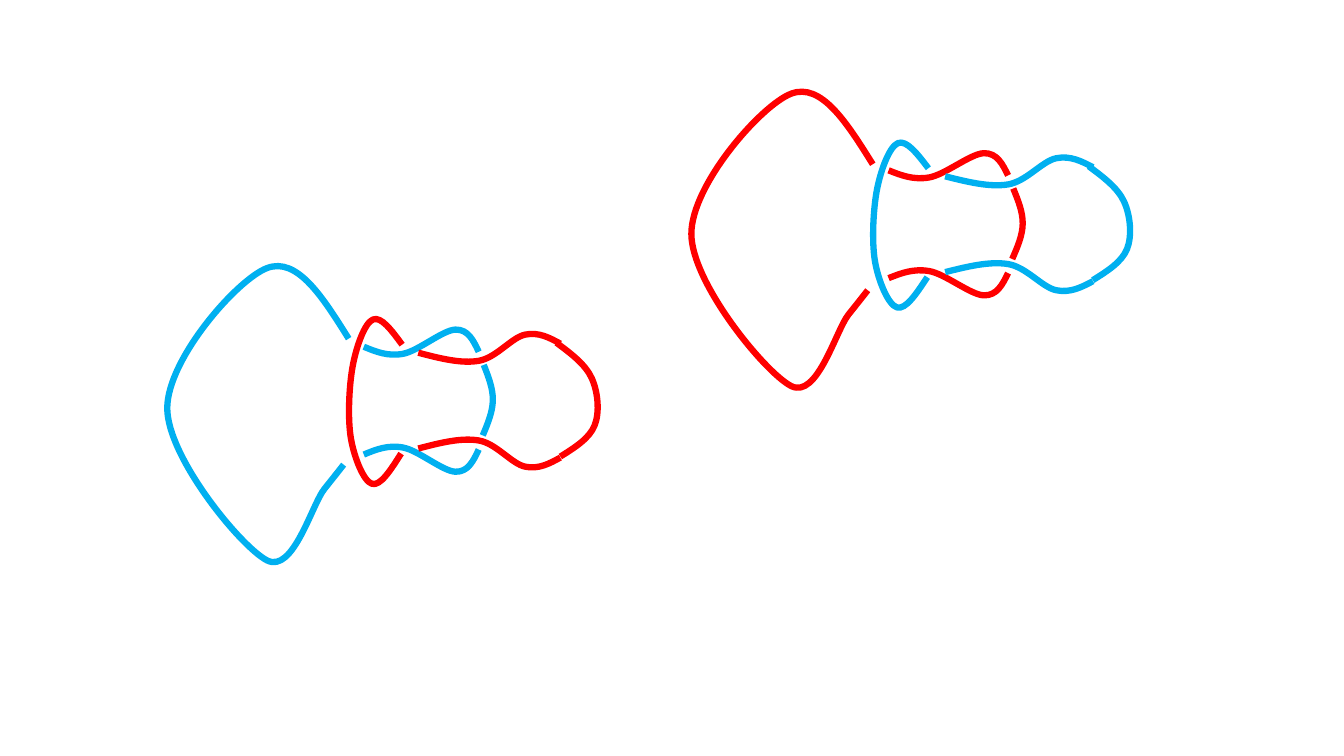
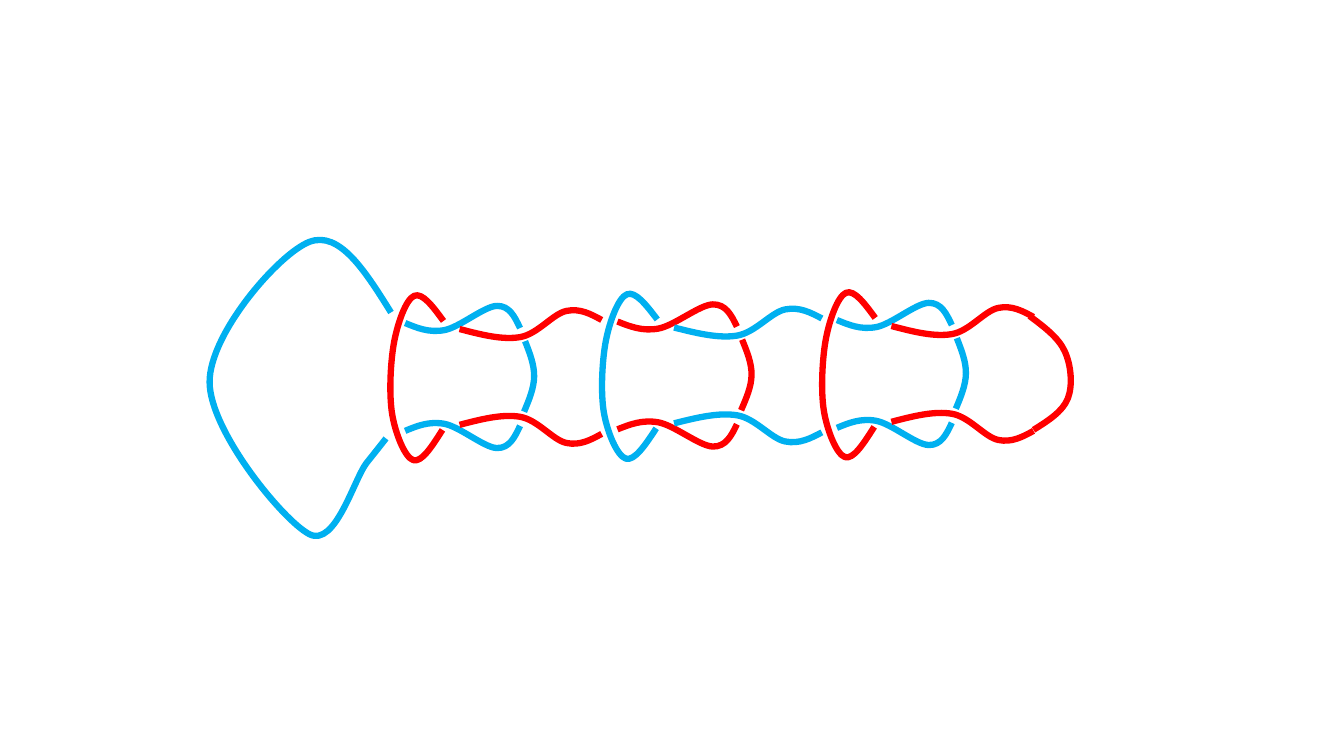
from dataclasses import dataclass

from lxml import etree
from pptx import Presentation
from pptx import util as u
from pptx.dml import color
from pptx.oxml import ns


@dataclass(frozen=True)
class Theme:
    blue: color.RGBColor = color.RGBColor(0x00, 0xB0, 0xF0)
    red: color.RGBColor = color.RGBColor(0xFF, 0x00, 0x00)
    strand_width: u.Pt = u.Pt(4.5)
    unit: float = u.Cm(2.54) / 100  # drawing grid: 100 units to 2.54 cm


THEME = Theme()


def mirrored(knots, height=161):
    """Flip an upper strand to the lower half of a link."""
    return [(x, height - y) for x, y in knots]


# Knots that each strand passes through, on the drawing grid
LOOP = [(53, 25), (24, 0), (4, 46), (2, 117), (23, 163), (52, 133)]
WAVE = [(15, 27), (54, 34), (106, 10), (129, 32)]
NECK = [(69, 33), (129, 41), (175, 15), (210, 24)]
BRIDGE = [(134, 45), (143, 80), (133, 115)]
TAIL = [(180, 72), (99, 2), (0, 141), (99, 292), (156, 221), (175, 197)]
CAP = [(0, 0), (35, 35), (38, 82), (4, 113)]

# A link: strands of the hooking colour and strands of the held colour
HOOK_STRANDS = [LOOP, NECK, mirrored(NECK)]
HELD_STRANDS = [WAVE, mirrored(WAVE), BRIDGE]
LINK_ORDER = [LOOP, WAVE, mirrored(WAVE), NECK, mirrored(NECK), BRIDGE]

# How links join: each starts where the neck before it ends
LINK_LENGTH = 210
LINK_RISE = 1.5
CAP_X, CAP_Y = 206, 23
NORMAL, WIDE = 1, 1.04


def midpoint(a, b):
    return (a[0] + b[0]) / 2, (a[1] + b[1]) / 2


def smooth_curve(knots):
    """Return (handle, handle, knot) for each cubic segment through the knots.

    At an inner knot the handles lie a sixth of the way along the line that
    joins its neighbours. At an end the handle is halfway to the next handle.
    """
    arriving, leaving = [], []
    for before, knot, after in zip(knots, knots[1:], knots[2:]):
        dx, dy = (after[0] - before[0]) / 6, (after[1] - before[1]) / 6
        arriving.append((knot[0] - dx, knot[1] - dy))
        leaving.append((knot[0] + dx, knot[1] + dy))
    leaving.insert(0, midpoint(knots[0], arriving[0]))
    arriving.append(midpoint(knots[-1], leaving[-1]))
    return list(zip(leaving, arriving, knots[1:]))


class KnotDeck:
    """Holds the theme and the current slide, and draws the knot parts."""

    def __init__(self, theme):
        self.theme = theme
        self.deck = Presentation()
        self.deck.slide_width = u.Cm(33.87)
        self.deck.slide_height = u.Cm(19.05)
        self.slide = None

    def new_slide(self):
        self.slide = self.deck.slides.add_slide(self.deck.slide_layouts[6])

    def strand(self, knots, origin, ink, stretch=NORMAL):
        """Draw one open curved strand."""
        left, top = origin
        placed = [(round((left + x * stretch) * self.theme.unit),
                   round((top + y) * self.theme.unit)) for x, y in knots]
        outline = self.slide.shapes.build_freeform(*placed[0])
        outline.add_line_segments(placed[1:], close=False)
        strand = outline.convert_to_shape()
        self.bend(strand, smooth_curve(placed))
        strand.shadow.inherit = False
        strand.fill.background()
        strand.line.color.rgb = ink
        strand.line.width = self.theme.strand_width
        return strand

    @staticmethod
    def bend(strand, curve):
        """Turn the straight segments of a strand into cubic ones."""
        straights = list(strand._element.iter(ns.qn("a:lnTo")))
        for straight, points in zip(straights, curve):
            cubic = etree.Element(ns.qn("a:cubicBezTo"))
            for x, y in points:
                etree.SubElement(cubic, ns.qn("a:pt"),
                                 x=str(round(x - strand.left)),
                                 y=str(round(y - strand.top)))
            straight.getparent().replace(straight, cubic)

    def link(self, origin, hook, held, stretch):
        return [self.strand(knots, origin,
                            hook if knots in HOOK_STRANDS else held, stretch)
                for knots in LINK_ORDER]

    def chain(self, tail_origin, link_origin, hook, held, stretches):
        """Draw links that swap colours in turn, between a tail and a cap."""
        tail_ink = held
        x, y = link_origin
        strands = []
        for stretch in stretches:
            strands += self.link((x, y), hook, held, stretch)
            cap_origin, cap_ink = (x + CAP_X * stretch, y + CAP_Y), hook
            x, y = x + LINK_LENGTH * stretch, y - LINK_RISE
            hook, held = held, hook
        strands.append(self.strand(TAIL, tail_origin, tail_ink))
        strands.append(self.strand(CAP, cap_origin, cap_ink))
        self.slide.shapes.add_group_shape(strands)

    def save(self):
        self.deck.save("out.pptx")


def main():
    knots = KnotDeck(THEME)
    blue, red = THEME.blue, THEME.red

    # Slide 1: two separate knots with opposite colours
    knots.new_slide()
    knots.chain((166, 264), (346, 317), red, blue, [NORMAL])
    knots.chain((686, 91), (866, 142), blue, red, [WIDE])

    # Slide 2: three links joined into one chain
    knots.new_slide()
    knots.chain((208, 238), (387, 293.5), red, blue, [NORMAL, WIDE, NORMAL])

    knots.save()


if __name__ == "__main__":
    main()
